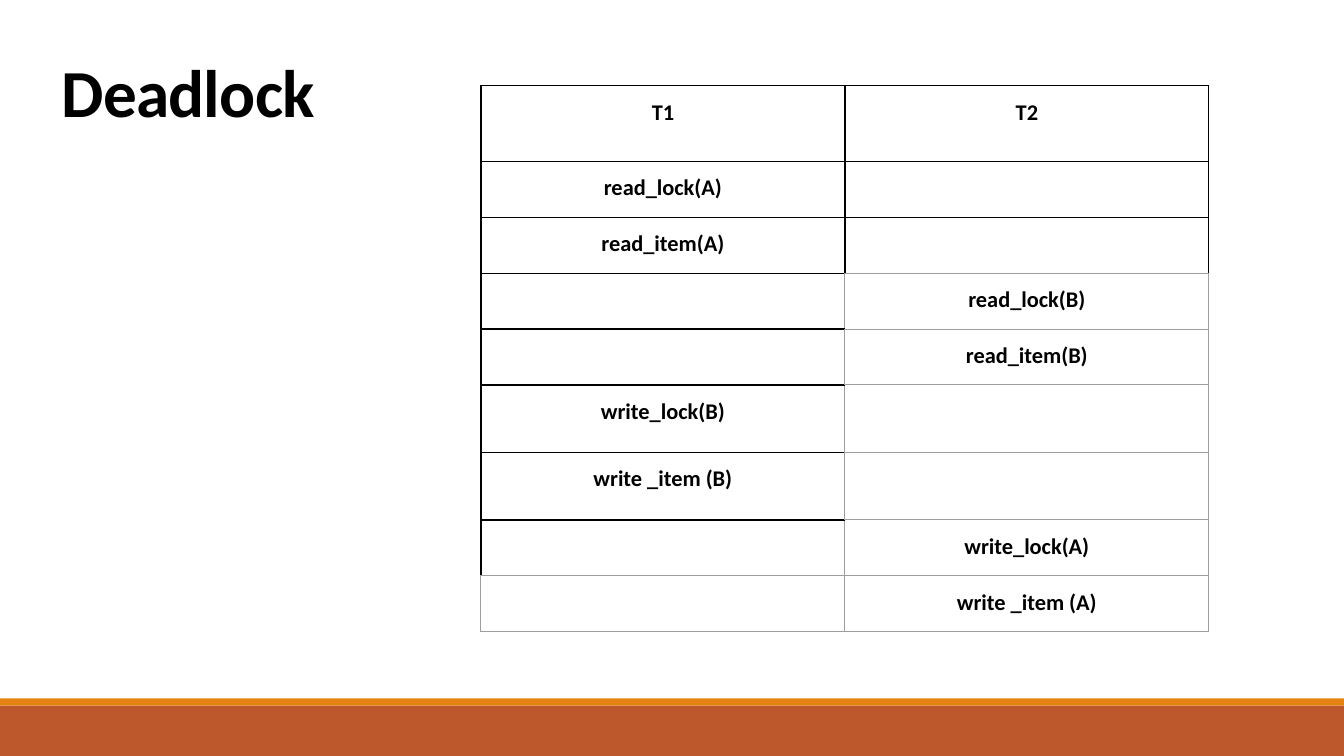
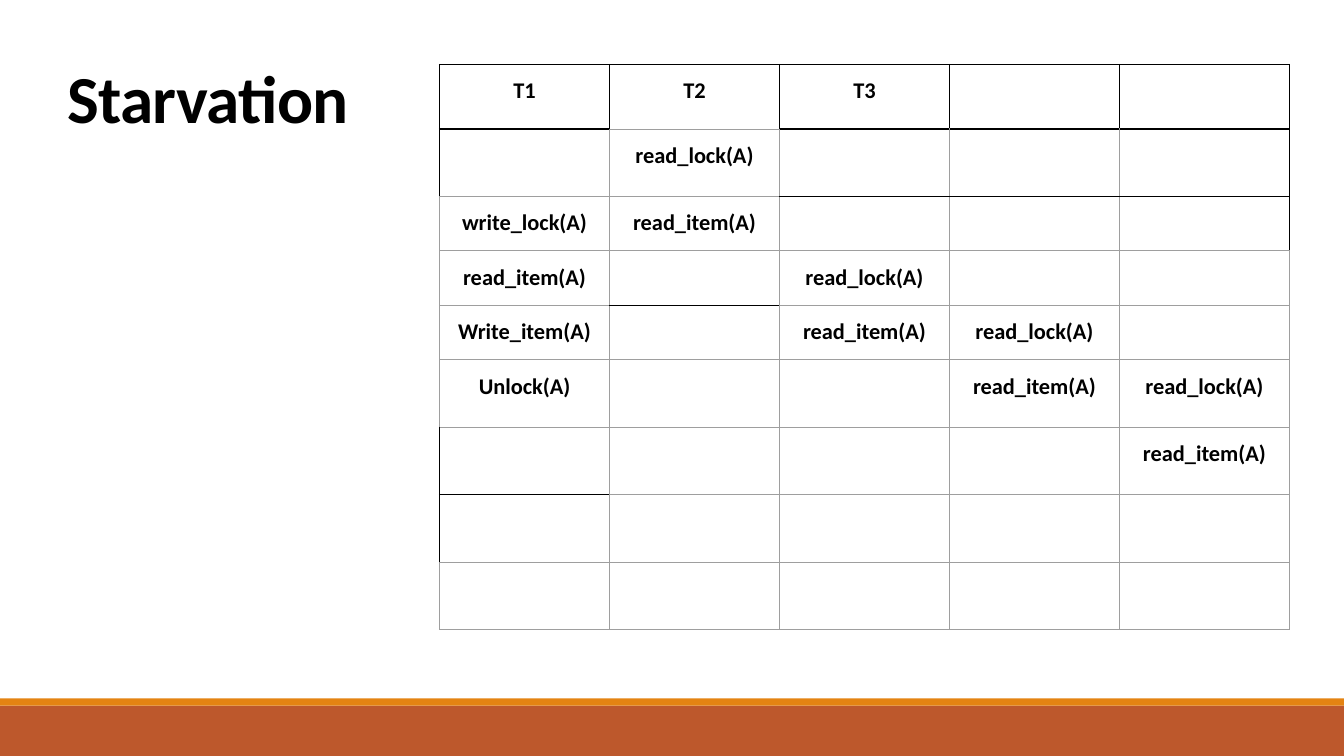
from dataclasses import dataclass

from lxml.etree import SubElement
from pptx import Presentation
from pptx.dml.color import RGBColor
from pptx.enum.shapes import MSO_SHAPE as Shape
from pptx.enum.text import MSO_ANCHOR as Anchor, PP_ALIGN as Align
from pptx.oxml.ns import qn
from pptx.util import Inches, Pt

COLORS = {
    "text": "000000",
    "grid": "9E9E9E",
    "dark_grid": "000000",
    "footer": "BD582C",
    "accent": "E48312",
}
FONT = "Calibri"
SLIDE_WIDTH, SLIDE_HEIGHT = 13.33, 7.5
CELL_MARGIN = 0.13


@dataclass
class Band:
    top: float
    height: float
    color: str


@dataclass
class Schedule:
    """A titled timetable; rows without a set height share what is left."""
    title: str
    title_at: tuple[float, float]
    table_at: tuple[float, float]
    size: tuple[float, float]
    set_heights: dict[int, float]
    rows: list[list[str]]
    dark_sides: list[str]  # per row: sides of each cell, "-" for none


BANDS = [Band(7, 0.5, "footer"), Band(6.93, 0.07, "accent")]

SCHEDULES = [
    Schedule(
        "Deadlock", (0.48, 0.17), (4.77, 0.85), (7.22, 5.42),
        {0: 0.75, 5: 0.67, 6: 0.67},
        [
            ["T1", "T2"],
            ["read_lock(A)", ""],
            ["read_item(A)", ""],
            ["", "read_lock(B)"],
            ["", "read_item(B)"],
            ["write_lock(B)", ""],
            ["write _item (B)", ""],
            ["", "write_lock(A)"],
            ["", "write _item (A)"],
        ],
        ["LRTB LRTB", "LRTB LRTB", "LRTB LRT"] + ["LTB -"] * 4 + ["LT -", "- -"],
    ),
    Schedule(
        "Starvation", (0.54, 0.23), (4.36, 0.64), (8.43, 5.61),
        {0: 0.64, 1: 0.67, 5: 0.67, 6: 0.67, 7: 0.67, 8: 0.67},
        [
            ["T1", "T2", "T3", "", ""],
            ["", "read_lock(A)", "", "", ""],
            ["write_lock(A)", "read_item(A)", "", "", ""],
            ["read_item(A)", "", "read_lock(A)", "", ""],
            ["Write_item(A)", "", "read_item(A)", "read_lock(A)", ""],
            ["Unlock(A)", "", "", "read_item(A)", "read_lock(A)"],
            ["", "", "", "", "read_item(A)"],
            ["", "", "", "", ""],
            ["", "", "", "", ""],
        ],
        [
            "LRTB LRT LRTB LRTB LRTB",
            "LT - TB TB RTB",
            "- - T T RT",
            "- B - - -",
            "- T - - -",
            "- - - - -",
            "LB - - - -",
            "LT - - - -",
            "- - - - -",
        ],
    ),
]


def rgb(name: str) -> RGBColor:
    return RGBColor.from_string(COLORS[name])


def add_span(para, text: str, size: float):
    span = para.add_run()
    span.text = text
    span.font.name = FONT
    span.font.size = Pt(size)
    span.font.bold = True
    span.font.color.rgb = rgb("text")
    return span


def add_bands(page) -> None:
    for band in BANDS:
        bar = page.shapes.add_shape(Shape.RECTANGLE, 0, Inches(band.top),
                                    Inches(SLIDE_WIDTH), Inches(band.height))
        bar.shadow.inherit = False
        bar.fill.solid()
        bar.fill.fore_color.rgb = rgb(band.color)
        bar.line.fill.background()


def add_title(page, schedule: Schedule) -> None:
    left, top = schedule.title_at
    box = page.shapes.add_textbox(Inches(left), Inches(top), Inches(11), Inches(1.59))
    frame = box.text_frame
    frame.word_wrap = True
    frame.vertical_anchor = Anchor.MIDDLE
    frame.margin_left = frame.margin_right = Inches(0.13)
    frame.margin_top = frame.margin_bottom = Inches(0.07)
    para = frame.paragraphs[0]
    para.line_spacing = 0.85
    span = add_span(para, schedule.title, 48)
    span.font._element.set("spc", "-50")


def set_borders(cell, dark: str) -> None:
    properties = cell._tc.get_or_add_tcPr()
    for side in "LRTB":
        color, width = ("dark_grid", 1) if side in dark else ("grid", 0.75)
        line = SubElement(properties, qn(f"a:ln{side}"), w=str(Pt(width)))
        fill = SubElement(line, qn("a:solidFill"))
        SubElement(fill, qn("a:srgbClr"), val=COLORS[color])


def fill_cell(cell, text: str, dark: str) -> None:
    set_borders(cell, dark)
    cell.fill.background()
    if text:
        cell.margin_left = cell.margin_right = Inches(CELL_MARGIN)
        cell.margin_top = cell.margin_bottom = Inches(CELL_MARGIN)
        para = cell.text_frame.paragraphs[0]
        para.alignment = Align.CENTER
        add_span(para, text, 16)


def add_schedule(page, schedule: Schedule) -> None:
    row_count, column_count = len(schedule.rows), len(schedule.rows[0])
    width, height = schedule.size
    frame = page.shapes.add_table(
        row_count, column_count, *map(Inches, schedule.table_at + schedule.size))
    table = frame.table
    table.first_row = table.horz_banding = False
    for column in table.columns:
        column.width = Inches(width / column_count)

    fixed = schedule.set_heights
    shared = (height - sum(fixed.values())) / (row_count - len(fixed))
    for row, (texts, sides) in enumerate(zip(schedule.rows, schedule.dark_sides)):
        table.rows[row].height = Inches(fixed.get(row, shared))
        for column, (text, dark) in enumerate(zip(texts, sides.split())):
            fill_cell(table.cell(row, column), text, dark)


def main() -> None:
    deck = Presentation()
    deck.slide_width = Inches(SLIDE_WIDTH)
    deck.slide_height = Inches(SLIDE_HEIGHT)
    for schedule in SCHEDULES:
        page = deck.slides.add_slide(deck.slide_layouts[6])
        add_bands(page)
        add_schedule(page, schedule)
        add_title(page, schedule)
    deck.save("out.pptx")


if __name__ == "__main__":
    main()
